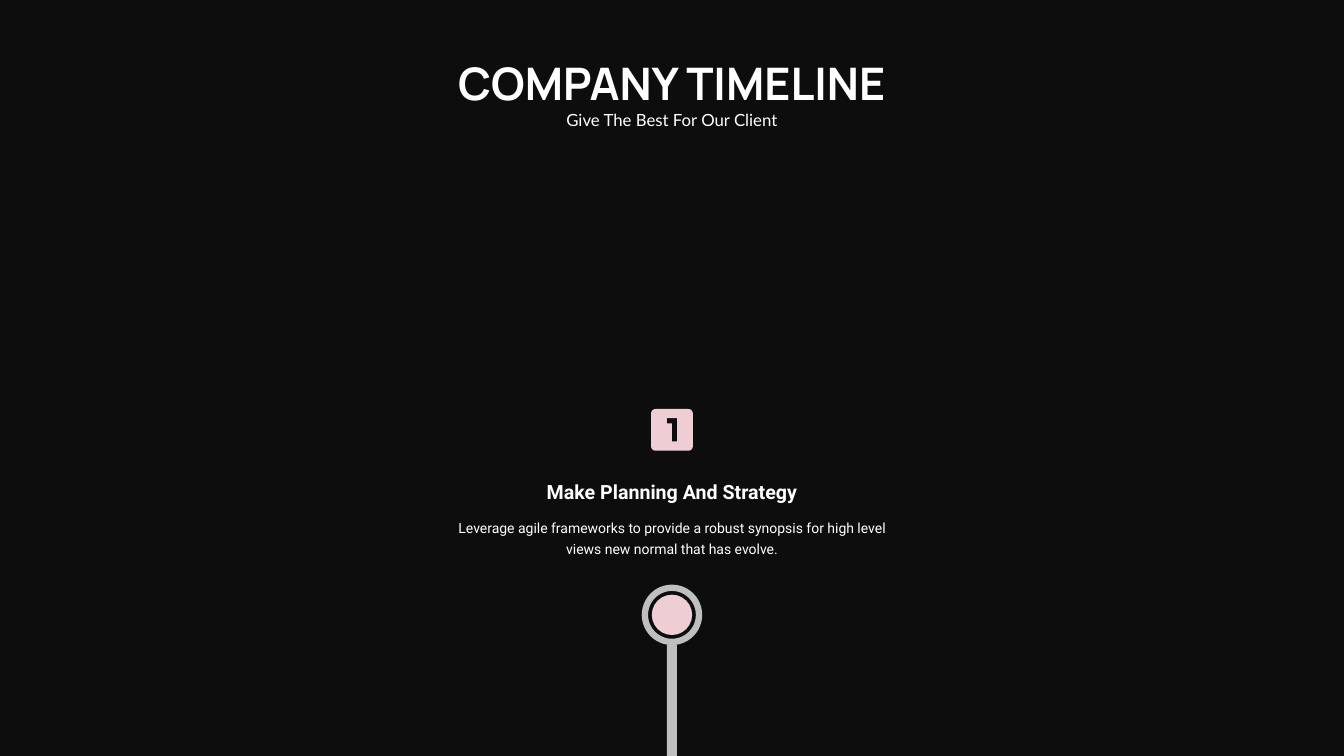
from dataclasses import dataclass
from math import cos, pi, sin
from typing import Optional

from pptx import Presentation
from pptx.dml.color import RGBColor
from pptx.enum.shapes import MSO_SHAPE as Shape
from pptx.enum.text import MSO_ANCHOR as Anchor, MSO_AUTO_SIZE as AutoSize, PP_ALIGN as Align
from pptx.util import Inches, Pt

BLACK = RGBColor(0x0D, 0x0D, 0x0D)
WHITE = RGBColor(0xFF, 0xFF, 0xFF)
GREY = RGBColor(0xBF, 0xBF, 0xBF)
PINK = RGBColor(0xEF, 0xCD, 0xD5)

# Square grid: ten cells to the inch, everything centred on the middle column
CELL = Inches(0.1)
COLUMNS, ROWS = 133.33, 75
MIDDLE = COLUMNS / 2


@dataclass(frozen=True)
class Label:
    text: str
    top: float
    width: float
    height: float
    font: str
    size: int
    bold: bool = False
    leading: Optional[int] = None
    anchor: Anchor = Anchor.TOP


@dataclass(frozen=True)
class Mark:
    kind: Shape
    top: float
    width: float
    height: float
    color: RGBColor
    adjustment: Optional[float] = None


TITLE = Label("COMPANY TIMELINE", 6, 72.4, 4.9, "Manrope", 32, True, 35, Anchor.MIDDLE)
SUBTITLE = Label("Give The Best For Our Client", 10.9, 42.2, 2, "Lato", 12)
STEP_LABELS = [
    Label("Make Planning And Strategy", 47.6, 42.8, 2.4, "Roboto", 14, True),
    Label("Leverage agile frameworks to provide a robust synopsis for high level "
          "views new normal that has evolve.", 51.1, 42.8, 4, "Roboto", 10, leading=15),
]
MARKS = [
    Mark(Shape.RECTANGLE, 64, 1, 11, GREY),
    Mark(Shape.OVAL, 59, 4, 4, PINK),
    Mark(Shape.DONUT, 58, 6, 6, GREY, 0.105),
]

# Badge geometry, in cells from the badge centre
BADGE_ROW, BADGE_HALF, BADGE_RADIUS = 42.65, 2.07, 0.45
DIGIT_ONE = [(0.5, 1.15), (0.5, -1.15), (-0.5, -1.15), (-0.5, -0.65), (0, -0.65), (0, 1.15)]


def cells(count: float) -> int:
    return round(count * CELL)


def frame(width: float, top: float, height: float) -> tuple[int, int, int, int]:
    return cells(MIDDLE - width / 2), cells(top), cells(width), cells(height)


def paint(shape, color: RGBColor) -> None:
    shape.shadow.inherit = False
    shape.fill.solid()
    shape.fill.fore_color.rgb = color
    shape.line.fill.background()


def write(box, label: Label) -> None:
    box.left, box.top, box.width, box.height = frame(label.width, label.top, label.height)
    text = box.text_frame
    text.word_wrap = True
    text.auto_size = AutoSize.SHAPE_TO_FIT_TEXT
    text.vertical_anchor = label.anchor
    text.margin_left = text.margin_top = text.margin_right = text.margin_bottom = 0
    para = text.paragraphs[0]
    para.alignment = Align.CENTER
    para.space_before = Pt(0)
    if label.leading:
        para.line_spacing = Pt(label.leading)
    span = para.add_run()
    span.text = label.text
    span.font.name = label.font
    span.font.size = Pt(label.size)
    span.font.bold = label.bold
    span.font.color.rgb = WHITE


def draw_mark(page, mark: Mark) -> None:
    shape = page.shapes.add_shape(mark.kind, *frame(mark.width, mark.top, mark.height))
    if mark.adjustment is not None:
        shape.adjustments[0] = mark.adjustment
    paint(shape, mark.color)


def rounded_square(half: float, radius: float, steps: int = 8) -> list[tuple[float, float]]:
    inner = half - radius
    corners = [(inner, inner), (-inner, inner), (-inner, -inner), (inner, -inner)]
    return [(x + radius * cos(angle), y + radius * sin(angle))
            for quarter, (x, y) in enumerate(corners)
            for angle in (pi / 2 * (quarter + step / steps) for step in range(steps + 1))]


def draw_badge(page) -> None:
    """Draw a rounded square with the digit cut out of it."""
    square, digit = [
        [(cells(MIDDLE + x), cells(BADGE_ROW + y)) for x, y in outline]
        for outline in (rounded_square(BADGE_HALF, BADGE_RADIUS), DIGIT_ONE)
    ]
    builder = page.shapes.build_freeform(*square[0])
    builder.add_line_segments(square[1:], close=True)
    builder.move_to(*digit[0])
    builder.add_line_segments(digit[1:], close=True)
    paint(builder.convert_to_shape(), PINK)


def main() -> None:
    deck = Presentation()
    deck.slide_width, deck.slide_height = cells(COLUMNS), cells(ROWS)
    page = deck.slides.add_slide(deck.slide_layouts[0])
    page.background.fill.solid()
    page.background.fill.fore_color.rgb = BLACK

    # Heading
    write(page.shapes.title, TITLE)
    write(page.placeholders[1], SUBTITLE)

    # Timeline stem and node
    for mark in MARKS:
        draw_mark(page, mark)

    # First step
    for label in STEP_LABELS:
        write(page.shapes.add_textbox(0, 0, CELL, CELL), label)
    draw_badge(page)

    deck.save("out.pptx")


if __name__ == "__main__":
    main()
